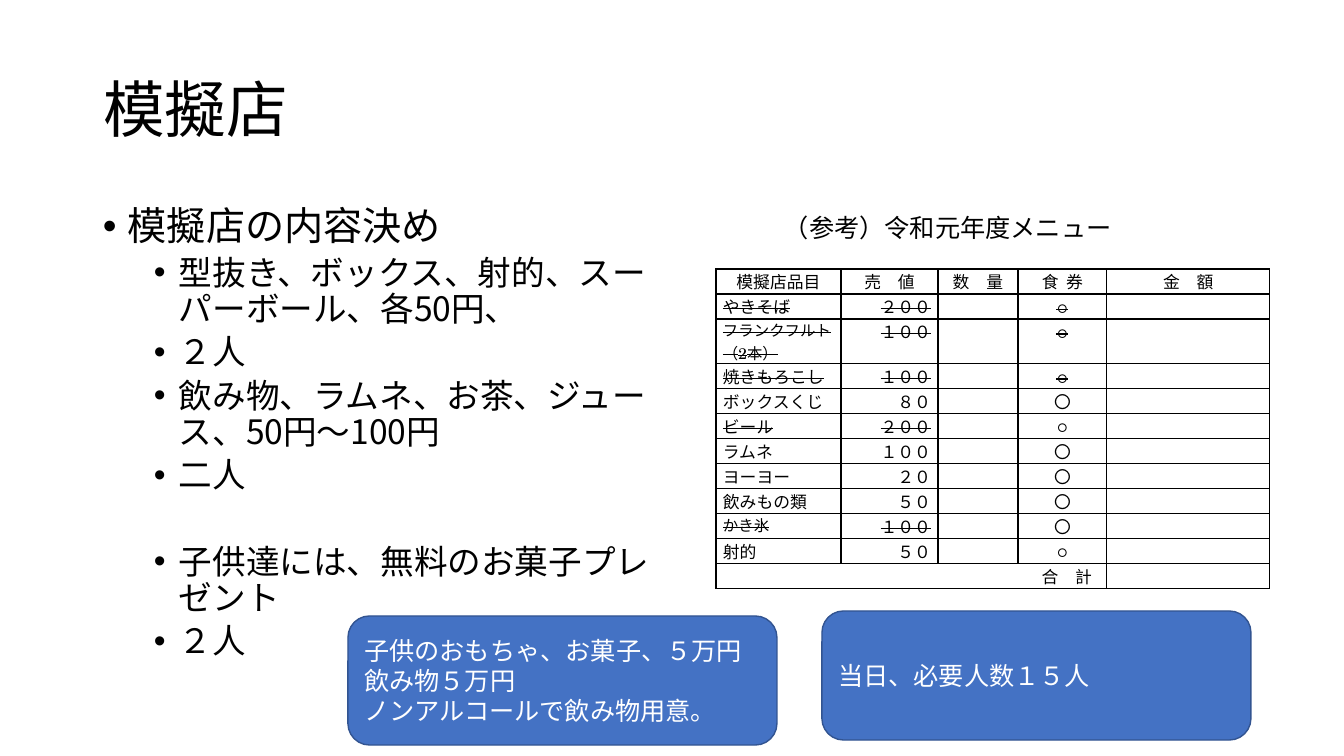
import pptx
import pptx.util
import pptx.dml.color
import pptx.enum.shapes
import pptx.enum.text
import pptx.oxml.ns
from lxml import etree

RGB = pptx.dml.color.RGBColor
BLACK = RGB(0x00, 0x00, 0x00)
WHITE = RGB(0xFF, 0xFF, 0xFF)
BLUE = RGB(0x44, 0x72, 0xC4)
NAVY = RGB(0x32, 0x54, 0x91)
SANS = "Noto Sans CJK JP"
SERIF = "TeX Gyre Schola"
ALIGN = pptx.enum.text.PP_ALIGN
MIDDLE = pptx.enum.text.MSO_ANCHOR.MIDDLE
SCALE = 914400 / 100.8

TITLE = "模擬店"
# text, level, space before in points
PLANS = [
    ("模擬店の内容決め", 0, 10),
    ("型抜き、ボックス、射的、スーパーボール、各50円、", 1, 5),
    ("２人", 1, 5),
    ("飲み物、ラムネ、お茶、ジュース、50円～100円", 1, 5),
    ("二人", 1, 5),
    ("子供達には、無料のお菓子プレゼント", 1, 36),
    ("２人", 1, 5),
]
LEVELS = [(28, 25), (24, 76)]  # text size, left indent
CAPTION = "（参考）令和元年度メニュー"
HEADS = ["模擬店品目", "売　値", "数　量", "食  券", "金　額"]
# item, price, ticket, number of struck columns, item size
MENU = [
    ("やきそば", "２００", "○", 4, 12),
    ("フランクフルト\n（2本）", "１００", "○", 4, 11),
    ("焼きもろこし", "１００", "○", 4, 12),
    ("ボックスくじ", "８０", "〇", 0, 12),
    ("ビール", "２００", "○", 2, 12),
    ("ラムネ", "１００", "〇", 0, 12),
    ("ヨーヨー", "２０", "〇", 0, 12),
    ("飲みもの類", "５０", "〇", 0, 12),
    ("かき氷", "１００", "〇", 2, 11),
    ("射的", "５０", "○", 0, 12),
]
TOTAL = "合　計"
WIDTHS = [125, 97, 80, 89, 163]
ALIGNS = [ALIGN.LEFT, ALIGN.RIGHT, ALIGN.CENTER, ALIGN.CENTER, ALIGN.CENTER]
ROW, TALL = 25, 45
NOTES = [
    ("子供のおもちゃ、お菓子、５万円\n飲み物５万円\nノンアルコールで飲み物用意。", 348, 616),
    ("当日、必要人数１５人", 822, 611),
]


def px(num):
    return pptx.util.Emu(round(num * SCALE))


def box(*nums):
    return [px(num) for num in nums]


def add_tag(parent, name, **attrs):
    return etree.SubElement(parent, pptx.oxml.ns.qn(name), **attrs)


def style(para, size, color=BLACK, face=SANS, struck=False):
    for run in para.runs:
        run.font.size = pptx.util.Pt(size)
        run.font.color.rgb = color
        run.font.name = face
        props = run.font._element
        add_tag(props, "a:ea", typeface=SANS)
        if struck:
            props.set("strike", "sngStrike")
    if not para.runs:
        add_tag(para._p, "a:endParaRPr", sz=str(size * 100))


def frame_cell(cell):
    """Clear the fill and draw a thin line on all four sides."""
    cell.fill.background()
    props = cell._tc.get_or_add_tcPr()
    for place, side in enumerate("LRTB"):
        line = add_tag(props, "a:ln" + side, w="12700")
        fill = add_tag(line, "a:solidFill")
        add_tag(fill, "a:srgbClr", val=str(BLACK))
        props.insert(place, line)


def fill_cell(cell, text, align, size=12, struck=False):
    cell.margin_left = cell.margin_right = px(7)
    cell.margin_top = cell.margin_bottom = 0
    cell.text_frame.text = text
    for para in cell.text_frame.paragraphs:
        para.alignment = align
        style(para, size, face=SERIF, struck=struck)
    frame_cell(cell)


def add_title(slide):
    title = slide.shapes.title
    title.left, title.top, title.width, title.height = box(93, 40, 1159, 146)
    title.text_frame.text = TITLE
    title.text_frame.vertical_anchor = MIDDLE
    para = title.text_frame.paragraphs[0]
    para.alignment = ALIGN.LEFT
    para.line_spacing = 0.9
    style(para, 44)


def add_plans(slide):
    frame = slide.shapes.add_textbox(*box(93, 202, 589, 480)).text_frame
    frame.word_wrap = True
    frame.text = "\n".join(plan[0] for plan in PLANS)
    for para, (_, level, gap) in zip(frame.paragraphs, PLANS):
        size, indent = LEVELS[level]
        para.level = level
        para.line_spacing = 0.9
        para.space_before = pptx.util.Pt(gap)
        style(para, size)
        props = para._p.get_or_add_pPr()
        props.set("marL", str(px(indent)))
        props.set("indent", str(px(-25)))
        add_tag(props, "a:buFont", typeface="Arial")
        add_tag(props, "a:buChar", char="•")


def add_menu(slide):
    count = len(MENU) + 2
    high = ROW * (count - 1) + TALL
    area = box(716, 269, sum(WIDTHS), high)
    table = slide.shapes.add_table(count, len(WIDTHS), *area).table
    table.first_row = table.horz_banding = False
    for col, width in zip(table.columns, WIDTHS):
        col.width = px(width)
    for row in table.rows:
        row.height = px(ROW)
    for col, head in enumerate(HEADS):
        fill_cell(table.cell(0, col), head, ALIGN.CENTER)
    for row, (item, price, ticket, struck, size) in enumerate(MENU, 1):
        if "\n" in item:
            table.rows[row].height = px(TALL)
        for col, text in enumerate([item, price, "", ticket, ""]):
            fill_cell(table.cell(row, col), text, ALIGNS[col],
                      12 if col else size, col < struck)
    last = count - 1
    for col in range(len(WIDTHS)):
        fill_cell(table.cell(last, col), "" if col else TOTAL, ALIGN.RIGHT)
    total = table.cell(last, 0)
    total.merge(table.cell(last, 3))
    total.margin_right = px(15)


def add_caption(slide):
    frame = slide.shapes.add_textbox(*box(774, 207, 351, 40)).text_frame
    frame.word_wrap = False
    frame.text = CAPTION
    style(frame.paragraphs[0], 18)


def add_note(slide, text, left, top):
    kind = pptx.enum.shapes.MSO_SHAPE.ROUNDED_RECTANGLE
    note = slide.shapes.add_shape(kind, *box(left, top, 429, 129))
    note.shadow.inherit = False
    note.fill.solid()
    note.fill.fore_color.rgb = BLUE
    note.line.color.rgb = NAVY
    note.line.width = pptx.util.Pt(1)
    note.text_frame.text = text
    note.text_frame.vertical_anchor = MIDDLE
    for para in note.text_frame.paragraphs:
        para.alignment = ALIGN.LEFT
        style(para, 18, WHITE)


def main():
    deck = pptx.Presentation()
    deck.slide_width, deck.slide_height = box(1344, 756)
    slide = deck.slides.add_slide(deck.slide_layouts[5])
    add_title(slide)
    add_plans(slide)
    add_menu(slide)
    add_caption(slide)
    for note in NOTES:
        add_note(slide, *note)
    deck.save("out.pptx")


if __name__ == "__main__":
    main()
